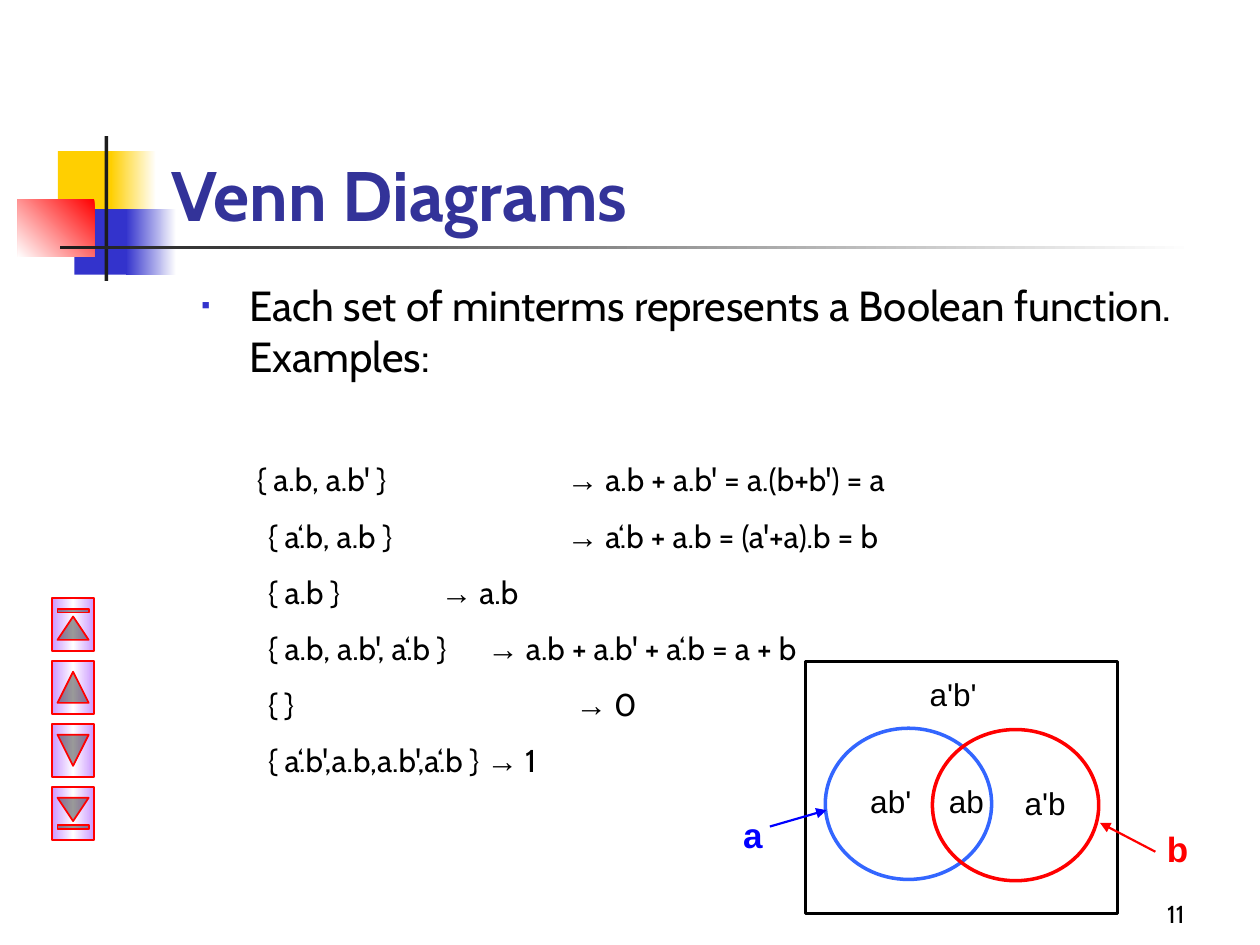
from lxml import etree
from pptx import Presentation
from pptx.dml.color import RGBColor
from pptx.enum import shapes, text
from pptx.oxml import ns
from pptx.util import Inches, Pt

KIND = shapes.MSO_SHAPE
ALIGN = text.PP_ALIGN
BODY_FONT, LABEL_FONT = "Cabin", "Arial"
BLACK, WHITE, INK, RED, BLUE = "000000", "FFFFFF", "1C1C1C", "FF0000", "0000FF"
YELLOW, INDIGO, LILAC = "FFCF01", "3333CC", "CC99FF"

BLOCKS = [
    ((0.46, 1.2, 0.48, 0.52), [YELLOW], 0),
    ((0.88, 1.2, 0.36, 0.52), [WHITE, YELLOW], 180),
    ((0.59, 1.66, 0.46, 0.52), [INDIGO], 0),
    ((1, 1.66, 0.4, 0.52), [WHITE, INDIGO], 180),
    ((0.14, 1.58, 0.61, 0.46), [RED, WHITE], 135),
    ((0.83, 1.08, 0.03, 1.15), [INK], 0),
    ((0.48, 1.95, 9, 0.03), [WHITE, INK], 180),
]
# Each row: text start, minterm set, arrow start (None follows directly), function
EXAMPLES = [
    (0.44, "{ a.b, a.b' }", 2.9, "a.b + a.b' = a.(b+b') = a"),
    (0.53, "{ a‘.b, a.b }", 2.9, "a‘.b + a.b = (a'+a).b = b"),
    (0.53, "{ a.b }", 1.9, "a.b"),
    (0.53, "{ a.b, a.b', a‘.b }", 2.27, "a.b + a.b' + a‘.b = a + b"),
    (0.53, "{ }", 2.97, "0"),
    (0.53, "{ a‘.b',a.b,a.b',a‘.b }", None, "1"),
]
LABELS = [
    ((6.72, 6.16, 0.7, 0.5), "ab'", 18, BLACK, False),
    ((7.92, 6.17, 0.75, 0.5), "a'b", 18, BLACK, False),
    ((7.08, 5.31, 0.97, 0.5), "a'b'", 18, BLACK, False),
    ((7.39, 6.16, 0.56, 0.5), "ab", 18, BLACK, False),
    ((5.75, 6.41, 0.45, 0.48), "a", 20, BLUE, True),
    ((9.1, 6.52, 0.49, 0.4), "b", 20, RED, True),
]
BUTTONS = [KIND.ACTION_BUTTON_BEGINNING, KIND.ACTION_BUTTON_BACK_OR_PREVIOUS,
           KIND.ACTION_BUTTON_FORWARD_OR_NEXT, KIND.ACTION_BUTTON_END]


def color(value):
    """Turn a hex string into a colour."""
    return RGBColor.from_string(value)


def element(parent, tag, **attributes):
    """Append a DrawingML element and return it."""
    return etree.SubElement(parent, ns.qn(tag), attributes)


def paint(shape, colors, angle):
    """Fill with nothing, one colour, or evenly spaced gradient stops."""
    if not colors:
        shape.fill.background()
    elif len(colors) == 1:
        shape.fill.solid()
        shape.fill.fore_color.rgb = color(colors[0])
    else:
        shape.fill.gradient()
        shape.fill.gradient_angle = (360 - angle) % 360
        stops = shape._element.spPr.find(".//" + ns.qn("a:gsLst"))
        for stop in list(stops):
            stops.remove(stop)
        for index, value in enumerate(colors):
            place = 100000 * index // (len(colors) - 1)
            stop = element(stops, "a:gs", pos=str(place))
            element(stop, "a:srgbClr", val=value)


def add_figure(parent, kind, box, colors=(), angle=0, line=None, width=1):
    """Add a preset shape with its fill and outline."""
    shape = parent.shapes.add_shape(kind, *map(Inches, box))
    shape.shadow.inherit = False
    paint(shape, colors, angle)
    if line:
        shape.line.color.rgb = color(line)
        shape.line.width = Pt(width)
    else:
        shape.line.fill.background()
    return shape


def add_span(para, words, size, font=BODY_FONT, ink=BLACK, bold=False):
    """Add one formatted run."""
    span = para.add_run()
    span.text = words
    span.font.size, span.font.name, span.font.bold = Pt(size), font, bold
    span.font.color.rgb = color(ink)


def add_box(parent, box, align=ALIGN.LEFT, anchor=text.MSO_ANCHOR.TOP):
    """Add a wrapping text box and return its frame."""
    frame = parent.shapes.add_textbox(*map(Inches, box)).text_frame
    frame.word_wrap = True
    frame.vertical_anchor = anchor
    frame.paragraphs[0].alignment = align
    return frame


def add_arrow(parent, start, end, ink):
    """Add a straight line with an arrowhead at its end."""
    arrow = parent.shapes.add_connector(
        shapes.MSO_CONNECTOR.STRAIGHT, *map(Inches, start + end))
    arrow.line.color.rgb = color(ink)
    arrow.line.width = Pt(1.25)
    element(arrow.line._get_or_add_ln(), "a:tailEnd", type="triangle")
    element(arrow._element.spPr, "a:effectLst")


def add_title(page):
    """Format the title placeholder and bring it in front of the blocks."""
    title = page.shapes.title
    title.left, title.top, title.width, title.height = map(
        Inches, (1.26, 0.67, 8.52, 1.25))
    frame = title.text_frame
    frame.auto_size = text.MSO_AUTO_SIZE.NONE
    frame.vertical_anchor = text.MSO_ANCHOR.BOTTOM
    frame.paragraphs[0].alignment = ALIGN.LEFT
    add_span(frame.paragraphs[0], "Venn Diagrams", 40, ink="333399", bold=True)
    page.shapes._spTree.append(title._element)


def add_bullet(para):
    """Give a paragraph a small square bullet with a hanging indent."""
    props = para._p.get_or_add_pPr()
    props.set("marL", str(Inches(0.38)))
    props.set("indent", str(Inches(-0.38)))
    element(element(props, "a:buClr"), "a:srgbClr", val=INDIGO)
    element(props, "a:buSzPct", val="60000")
    element(props, "a:buFont", typeface=LABEL_FONT)
    element(props, "a:buChar", char="▪")


def add_example(para, start, minterms, arrow_start, function):
    """Write a minterm set and its function, aligned by tab stops."""
    tabs = element(para._p.get_or_add_pPr(), "a:tabLst")
    for stop in filter(None, (start, arrow_start)):
        element(tabs, "a:tab", pos=str(Inches(stop)), algn="l")
    add_span(para, f"\t{minterms}" + ("\t" if arrow_start else " "), 18)
    add_span(para, "→", 18, LABEL_FONT)
    add_span(para, f" {function}", 18)


def add_body(page):
    """Add the statement and its examples."""
    frame = add_box(page, (1.5, 2.17, 8.5, 4.08))
    statement = frame.paragraphs[0]
    add_bullet(statement)
    add_span(statement, "Each set of minterms represents a Boolean function. "
             "Examples:", 24)
    for index, example in enumerate(EXAMPLES):
        para = frame.add_paragraph()
        para.space_before = Pt(4.5 if index else 45.7)
        para.space_after = Pt(6)
        add_example(para, *example)


def add_venn(page):
    """Add the two-set diagram as a group."""
    group = page.shapes.add_group_shape()
    add_figure(group, KIND.RECTANGLE, (6.39, 5.25, 2.48, 2), line=BLACK, width=1.75)
    add_figure(group, KIND.OVAL, (6.55, 5.78, 1.32, 1.2), line="3366FF", width=2)
    for box, words, size, ink, bold in LABELS:
        frame = add_box(group, box, ALIGN.CENTER)
        add_span(frame.paragraphs[0], words, size, LABEL_FONT, ink, bold)
    add_figure(group, KIND.OVAL, (7.4, 5.79, 1.32, 1.2), line=RED, width=2)
    add_arrow(group, (6.11, 6.56), (6.56, 6.43), BLUE)
    add_arrow(group, (9.17, 6.76), (8.73, 6.53), RED)


def main():
    """Build the slide and save it."""
    deck = Presentation()
    deck.slide_width, deck.slide_height = Inches(10), Inches(7.5)
    page = deck.slides.add_slide(deck.slide_layouts[5])
    for box, colors, angle in BLOCKS:
        add_figure(page, KIND.RECTANGLE, box, colors, angle)
    add_title(page)
    add_body(page)
    add_venn(page)
    for index, kind in enumerate(BUTTONS):
        button = add_figure(page, kind, (0.37, 4.79 + 0.5 * index, 0.42, 0.33),
                            [LILAC, WHITE, LILAC], 90, RED)
        button.rotation = 90
    number = add_box(page, (7.42, 6.92, 2.08, 0.5), ALIGN.RIGHT,
                     text.MSO_ANCHOR.BOTTOM)
    add_span(number.paragraphs[0], "11", 14)
    deck.save("out.pptx")


if __name__ == "__main__":
    main()
